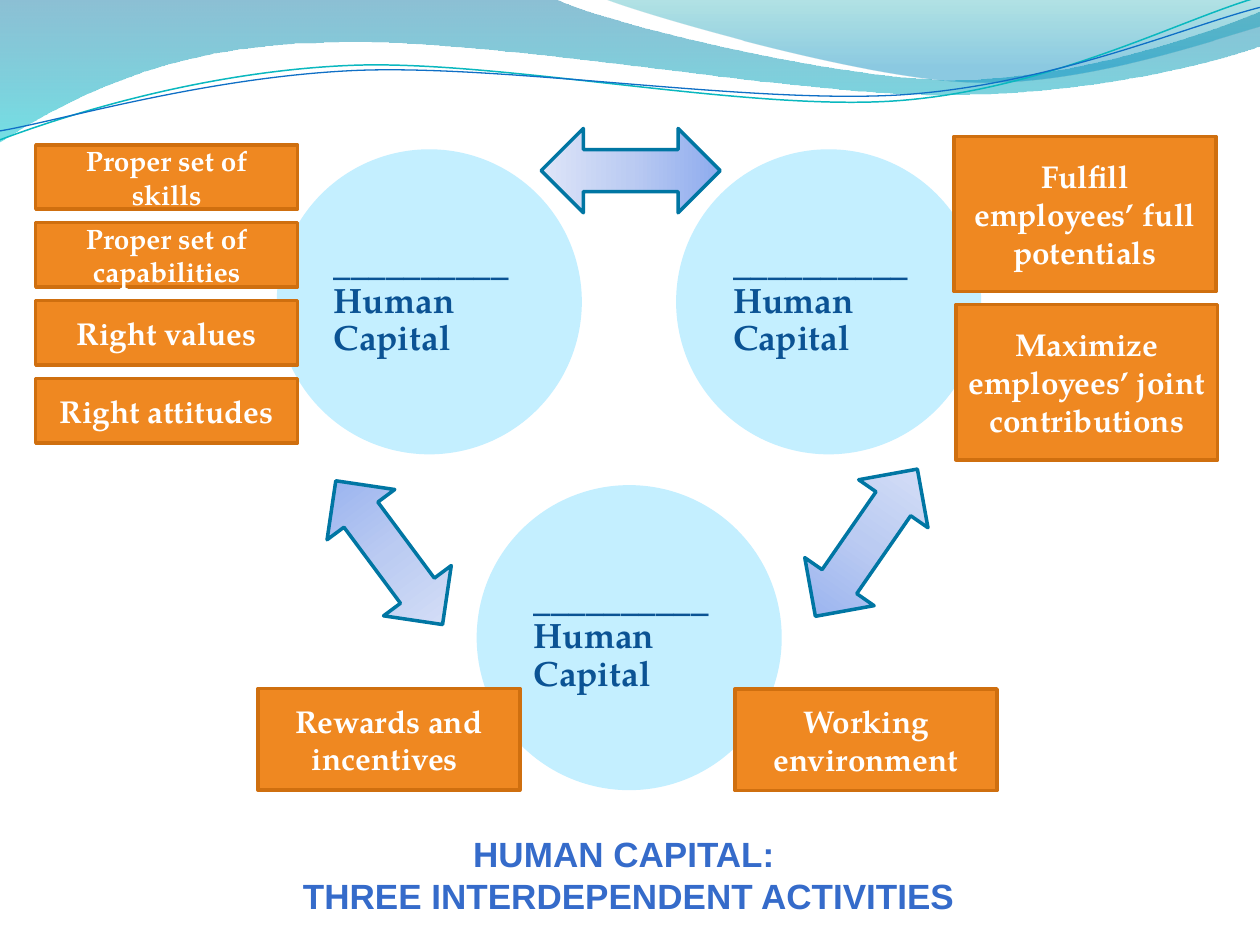
from lxml.etree import SubElement
from pptx import Presentation
from pptx.dml.color import RGBColor
from pptx.enum.shapes import MSO_SHAPE as SHAPE
from pptx.enum.text import MSO_ANCHOR as ANCHOR, MSO_AUTO_SIZE as AUTO, PP_ALIGN as ALIGN
from pptx.oxml.ns import qn
from pptx.util import Cm, Pt

COLORS = {
    "circle": "C4EFFF", "circle_text": "0B5394",
    "box": "EF8821", "box_line": "CF6F0F", "box_text": "FFFFFF",
    "arrow_line": "0076A3", "teal_line": "0AB8BF", "blue_line": "0F6FC6",
}
C = {name: RGBColor.from_string(value) for name, value in COLORS.items()}
SERIF = "TeX Gyre Pagella"
ARROW_STOPS = [(0, "8EABEE", 100), (50, "BBCBF2", 100), (100, "DEE5F8", 100)]
TITLE_STOPS = [(0, "6488D4", 100), (49, "356BCA", 100), (50, "005DB1", 100),
               (92, "00539E", 100), (100, "00519B", 100)]


def set_gradient(fill, element, stops, angle):
    fill.gradient()
    gs_list = element.find(".//" + qn("a:gsLst"))
    for gs in list(gs_list):
        gs_list.remove(gs)
    for pos, color, alpha in stops:
        gs = SubElement(gs_list, qn("a:gs"), pos=str(pos * 1000))
        clr = SubElement(gs, qn("a:srgbClr"), val=color)
        if alpha < 100:
            SubElement(clr, qn("a:alpha"), val=str(alpha * 1000))
    element.find(".//" + qn("a:lin")).set("ang", str(angle * 60000))


def draw_path(start, segments, close):
    anchors = [start] + [seg[-2:] for seg in segments]
    left, top = min(x for x, y in anchors), min(y for x, y in anchors)
    points = [(round(x * 100), round(y * 100)) for x, y in anchors]
    builder = s.shapes.build_freeform(*points[0], scale=Cm(1) / 100)
    builder.add_line_segments(points[1:], close=close)
    sp = builder.convert_to_shape()
    sp.shadow.inherit = False
    steps = list(sp._element.iter(qn("a:lnTo")))
    for step, seg in zip(steps, segments):
        if len(seg) == 6:
            curve = step.makeelement(qn("a:cubicBezTo"))
            for x, y in zip(seg[::2], seg[1::2]):
                SubElement(curve, qn("a:pt"), x=str(round((x - left) * 100)),
                           y=str(round((y - top) * 100)))
            step.getparent().replace(step, curve)
    return sp


prs = Presentation()
prs.slide_width, prs.slide_height = Cm(25.4), Cm(19.05)
s = prs.slides.add_slide(prs.slide_layouts[6])

waves = [
    ((0, -0.03), [(11.18, -0.03), (12.09, 0.43, 16.87, 1.6, 19.25, 1.6),
                  (21.67, 1.6, 24.33, 0.66, 25.4, 0.23), (25.43, 0.91),
                  (24.97, 1.12, 22.1, 1.93, 18.95, 1.91),
                  (15.8, 1.91, 9.7, 0.71, 6.53, 0.86),
                  (3.28, 0.89, 1.17, 2.11, -0.03, 2.87), (0, -0.03)],
     [(0, "0074A1", 45), (100, "00C6CF", 55)]),
    ((12.17, -0.03), [(12.93, 0.28, 17.32, 1.57, 19.53, 1.65),
                      (21.74, 1.75, 24.41, 0.81, 25.4, 0.53), (25.4, 0), (12.17, -0.03)],
     [(0, "00A1A9", 30), (80, "008BBF", 45)]),
]
for start, segments, stops in waves:
    sp = draw_path(start, segments, True)
    set_gradient(sp.fill, sp._element, stops, 90)
    sp.line.fill.background()

wave_lines = [
    ((0, 2.82), [(1.22, 2.36, 4.01, 1.45, 7.04, 1.32),
                 (10.03, 1.19, 15.06, 2.26, 18.11, 2.03),
                 (21.16, 1.8, 23.83, 0.38, 25.35, -0.05)], "teal_line", 0.85),
    ((0, 2.64), [(1.19, 2.44, 4.17, 1.55, 7.19, 1.42),
                 (10.24, 1.3, 15.16, 2.11, 18.21, 1.91),
                 (21.23, 1.7, 23.9, 0.53, 25.4, 0.15)], "blue_line", 0.75),
]
for start, segments, color, width in wave_lines:
    sp = draw_path(start, segments, False)
    sp.fill.background()
    sp.line.color.rgb = C[color]
    sp.line.width = Pt(width)

circles = [
    (5.58, 3.01, "__________Human Capital"),
    (13.63, 3.01, "__________ Human Capital"),
    (9.61, 9.78, "__________ Human Capital"),
]
for x, y, text in circles:
    sp = s.shapes.add_shape(SHAPE.OVAL, Cm(x), Cm(y), Cm(6.15), Cm(6.15))
    sp.shadow.inherit = False
    sp.fill.solid()
    sp.fill.fore_color.rgb = C["circle"]
    sp.line.fill.background()
    tf = sp.text_frame
    tf.word_wrap = True
    tf.vertical_anchor = ANCHOR.MIDDLE
    p = tf.paragraphs[0]
    p.text = text
    p.alignment = ALIGN.LEFT
    p.line_spacing = 0.9
    p.font.name, p.font.size, p.font.bold = SERIF, Pt(20), True
    p.font.color.rgb = C["circle_text"]

for x, y, rotation in [(10.91, 2.59, 0), (6.04, 10.29, 233.4), (15.66, 10.09, 124.7)]:
    sp = s.shapes.add_shape(SHAPE.LEFT_RIGHT_ARROW, Cm(x), Cm(y), Cm(3.61), Cm(1.7))
    sp.shadow.inherit = False
    sp.rotation = rotation
    set_gradient(sp.fill, sp._element, ARROW_STOPS, 180)
    sp.line.color.rgb = C["arrow_line"]
    sp.line.width = Pt(2)

title = s.shapes.add_textbox(Cm(5.79), Cm(16.66), Cm(13.77), Cm(1.96))
tf = title.text_frame
tf.word_wrap = False
tf.auto_size = AUTO.SHAPE_TO_FIT_TEXT
tf.text = "HUMAN CAPITAL: \nTHREE INTERDEPENDENT ACTIVITIES"
for p in tf.paragraphs:
    p.alignment = ALIGN.CENTER
    p.font.name, p.font.size, p.font.bold = "Arial", Pt(20), True
    set_gradient(p.font.fill, p._p, TITLE_STOPS, 90)

skills = [("Proper set of skills", 16), ("Proper set of capabilities", 16),
          ("Right values", 18), ("Right attitudes", 18)]
boxes = [(0.72, 2.92 + 1.57 * i, 1.3, text, size) for i, (text, size) in enumerate(skills)]
boxes += [
    (19.27, 6.14, 3.13, "Maximize employees’ joint contributions", 18),
    (19.23, 2.75, 3.13, "Fulfill employees’ full potentials", 18),
    (5.2, 13.88, 2.05, "Rewards and incentives ", 18),
    (14.82, 13.89, 2.05, "Working environment", 18),
]
for x, y, height, text, size in boxes:
    sp = s.shapes.add_shape(SHAPE.RECTANGLE, Cm(x), Cm(y), Cm(5.28), Cm(height))
    sp.shadow.inherit = False
    sp.fill.solid()
    sp.fill.fore_color.rgb = C["box"]
    sp.line.color.rgb = C["box_line"]
    sp.line.width = Pt(2)
    tf = sp.text_frame
    tf.word_wrap = True
    tf.vertical_anchor = ANCHOR.MIDDLE
    p = tf.paragraphs[0]
    p.text = text
    p.alignment = ALIGN.CENTER
    p.font.name, p.font.size, p.font.bold = SERIF, Pt(size), True
    p.font.color.rgb = C["box_text"]

prs.save("out.pptx")
